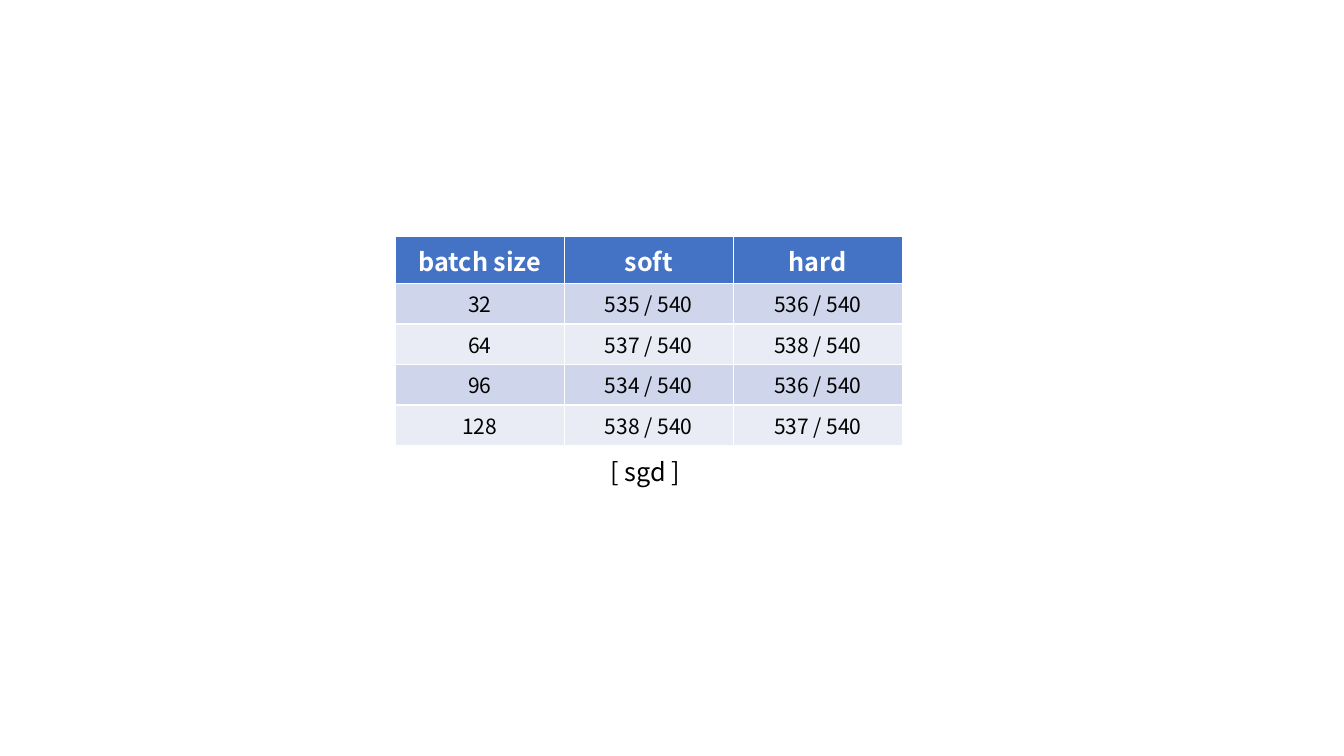
from pptx import Presentation
from pptx.dml.color import RGBColor
from pptx.enum.text import MSO_ANCHOR, MSO_AUTO_SIZE, PP_ALIGN
from pptx.util import Inches, Pt

CENTER = PP_ALIGN.CENTER
MIDDLE = MSO_ANCHOR.MIDDLE
GROW = MSO_AUTO_SIZE.SHAPE_TO_FIT_TEXT
WHITE = RGBColor(0xFF, 0xFF, 0xFF)
BLACK = RGBColor(0, 0, 0)
HEADER_BLUE = RGBColor(0x44, 0x72, 0xC4)
BANDS = RGBColor(0xCF, 0xD5, 0xEA), RGBColor(0xE9, 0xEB, 0xF5)
FONT = "Noto Sans CJK KR"
HEADER_SHARE = 0.22

RESULTS = [
    ("batch size", "soft", "hard"),
    ("32", "535 / 540", "536 / 540"),
    ("64", "537 / 540", "538 / 540"),
    ("96", "534 / 540", "536 / 540"),
    ("128", "538 / 540", "537 / 540"),
]


def style(p, size, color, bold=False):
    p.font.name = FONT
    p.font.size = Pt(size)
    p.font.bold = bold
    p.font.color.rgb = color


def add_results(s, left, top, width, height):
    rows, cols = len(RESULTS), len(RESULTS[0])
    table = s.shapes.add_table(rows, cols, left, top, width, height).table
    header_height = int(height * HEADER_SHARE)
    body_height = (height - header_height) // (rows - 1)
    for i, values in enumerate(RESULTS):
        header = i == 0
        table.rows[i].height = header_height if header else body_height
        for j, value in enumerate(values):
            cell = table.cell(i, j)
            cell.text = value
            cell.vertical_anchor = MIDDLE
            cell.fill.solid()
            cell.fill.fore_color.rgb = HEADER_BLUE if header else BANDS[(i - 1) % 2]
            p = cell.text_frame.paragraphs[0]
            p.alignment = CENTER
            style(p, 18 if header else 15, WHITE if header else BLACK, header)


def add_caption(s, text, left, top, width, height):
    tf = s.shapes.add_textbox(left, top, width, height).text_frame
    tf.word_wrap = False
    tf.auto_size = GROW
    p = tf.paragraphs[0]
    p.text = text
    style(p, 18, BLACK)


prs = Presentation()
prs.slide_width, prs.slide_height = Inches(13.33), Inches(7.5)
s = prs.slides.add_slide(prs.slide_layouts[6])
add_results(s, Inches(3.92), Inches(2.35), Inches(5.03), Inches(1.99))
add_caption(s, "[ sgd ]", Inches(5.96), Inches(4.48), Inches(0.95), Inches(0.4))
prs.save("out.pptx")
